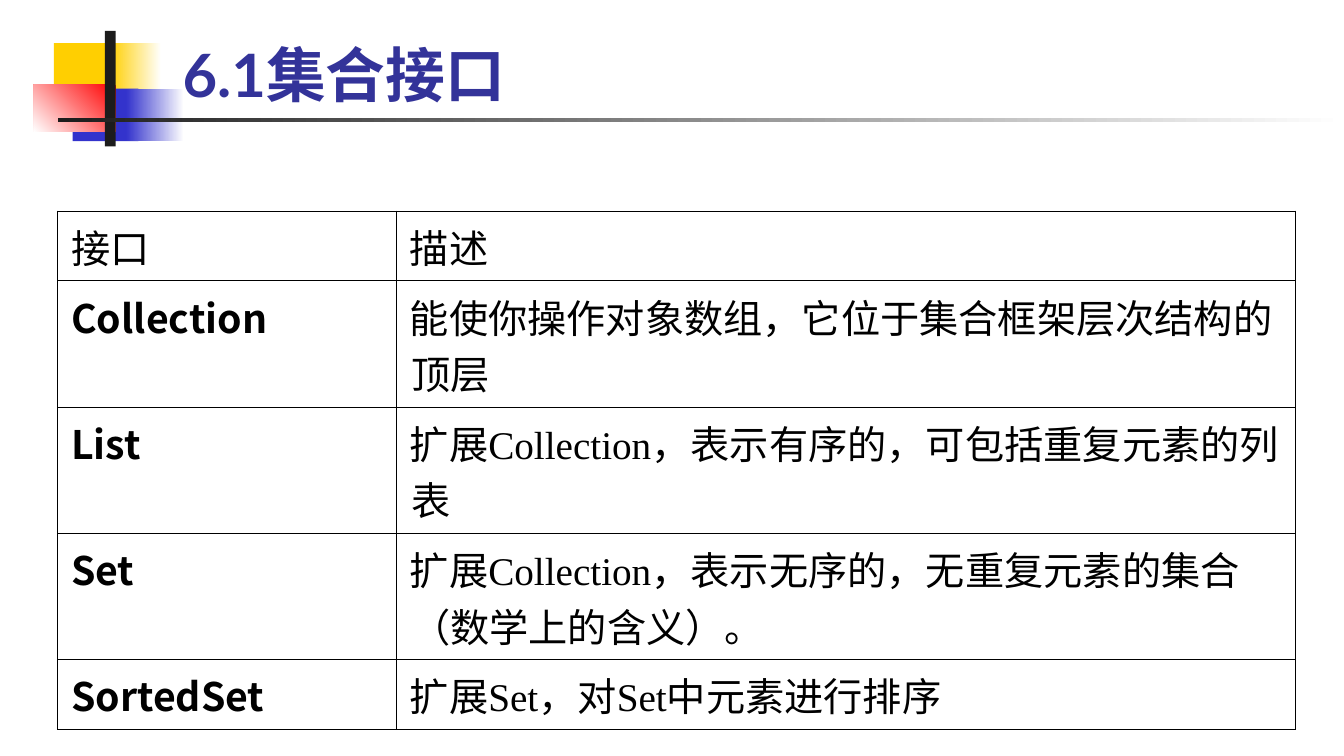
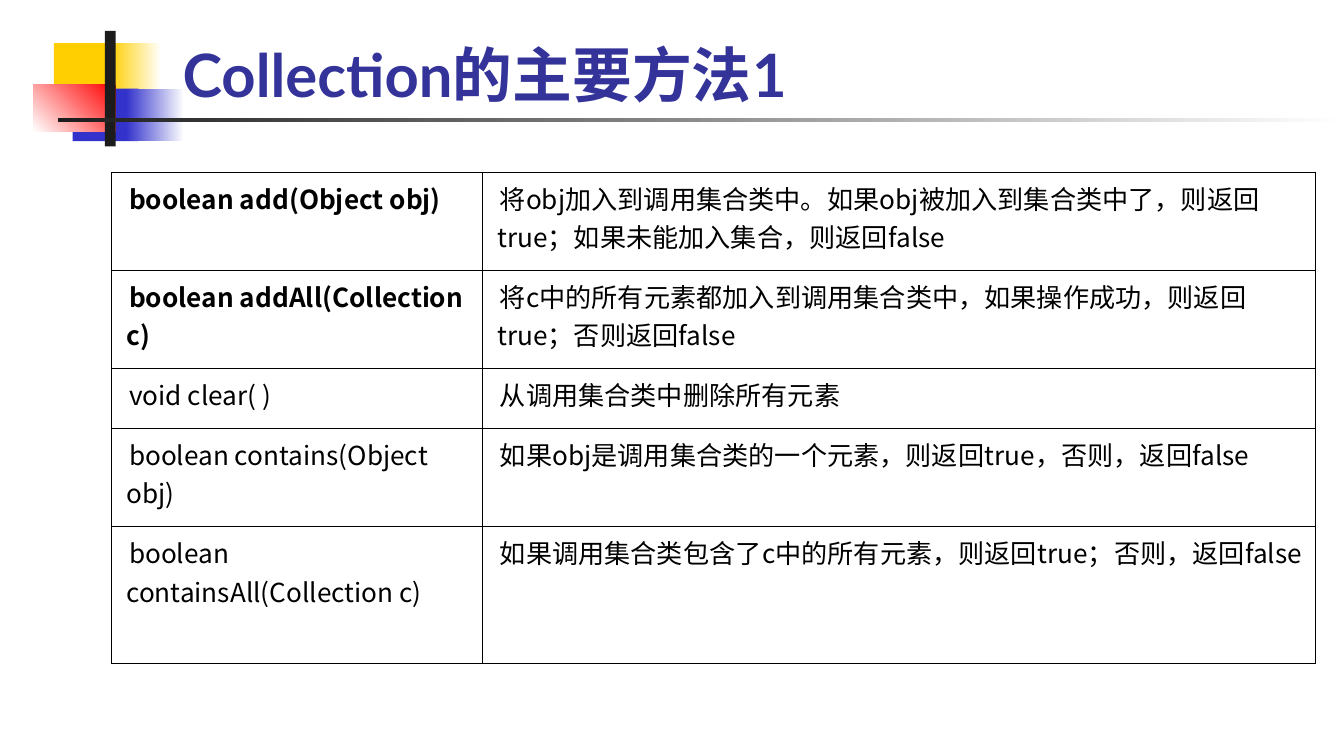
from dataclasses import dataclass

from lxml import etree
from pptx import Presentation
from pptx.dml.color import RGBColor
from pptx.enum.shapes import MSO_SHAPE
from pptx.enum.text import MSO_ANCHOR
from pptx.oxml.ns import qn
from pptx.util import Inches, Pt

RECT = MSO_SHAPE.RECTANGLE
BOTTOM = MSO_ANCHOR.BOTTOM


@dataclass(frozen=True)
class Theme:
    white: str = "FFFFFF"
    black: str = "000000"
    dark: str = "1C1C1C"
    gold: str = "FFCF01"
    blue: str = "3333CC"
    red: str = "FF0000"
    navy: str = "333399"
    head: str = "Lato"
    sans: str = "Noto Sans CJK SC"
    serif: str = "Times New Roman"
    title: int = 32
    large: int = 21
    small: int = 14
    rule: float = 0.45


T = Theme()

DECOR = [
    ((0.4, 0.32, 0.51, 0.39), (T.gold,), 0),
    ((0.82, 0.32, 0.38, 0.39), (T.white, T.gold), 180),
    ((0.54, 0.66, 0.49, 0.39), (T.blue,), 0),
    ((0.94, 0.66, 0.43, 0.39), (T.white, T.blue), 180),
    ((0.25, 0.63, 0.61, 0.35), (T.red, T.white), 225),
    ((0.78, 0.23, 0.08, 0.86), (T.dark,), 0),
    ((0.43, 0.88, 9.57, 0.03), (T.white, T.dark), 180),
]

TYPES = [
    ("接口", "描述"),
    ("Collection", "能使你操作对象数组，它位于集合框架层次结构的顶层"),
    ("List", "扩展Collection，表示有序的，可包括重复元素的列表"),
    ("Set", "扩展Collection，表示无序的，无重复元素的集合（数学上的含义）。"),
    ("SortedSet", "扩展Set，对Set中元素进行排序"),
]

METHODS = [
    ("boolean add(Object obj)",
     "将obj加入到调用集合类中。如果obj被加入到集合类中了，则返回true；如果未能加入集合，则返回false"),
    ("boolean addAll(Collection c)",
     "将c中的所有元素都加入到调用集合类中，如果操作成功，则返回true；否则返回false"),
    ("void clear( )", "从调用集合类中删除所有元素"),
    ("boolean contains(Object obj)",
     "如果obj是调用集合类的一个元素，则返回true，否则，返回false"),
    ("boolean containsAll(Collection c)",
     "如果调用集合类包含了c中的所有元素，则返回true；否则，返回false"),
]


def color(code):
    return RGBColor.from_string(code)


def write(frame, text, size, font=T.sans, fill=T.black, bold=False, indent=None):
    para = frame.paragraphs[0]
    if indent:
        left, first = indent
        props = para._p.get_or_add_pPr()
        props.set("marL", str(Inches(left)))
        props.set("indent", str(Inches(first)))
    run = para.add_run()
    run.text = text
    run.font.size = Pt(size)
    run.font.bold = bold
    run.font.color.rgb = color(fill)
    run.font.name = font
    east = etree.SubElement(run._r.get_or_add_rPr(), qn("a:ea"))
    east.set("typeface", T.sans)


def block(slide, place, tones, angle):
    shape = slide.shapes.add_shape(RECT, *map(Inches, place))
    shape.shadow.inherit = False
    shape.line.fill.background()
    if len(tones) == 1:
        shape.fill.solid()
        shape.fill.fore_color.rgb = color(tones[0])
        return
    shape.fill.gradient()
    shape.fill.gradient_angle = angle
    for stop, tone in zip(shape.fill.gradient_stops, tones):
        stop.color.rgb = color(tone)


def start(deck, title):
    slide = deck.slides.add_slide(deck.slide_layouts[6])
    for place, tones, angle in DECOR:
        block(slide, place, tones, angle)
    box = slide.shapes.add_textbox(*map(Inches, (1.26, 0.17, 8.52, 0.69)))
    frame = box.text_frame
    frame.word_wrap = True
    frame.vertical_anchor = BOTTOM
    write(frame, title, T.title, font=T.head, fill=T.navy, bold=True)
    return slide


def border(cell):
    props = cell._tc.get_or_add_tcPr()
    for index, side in enumerate(("lnL", "lnR", "lnT", "lnB")):
        line = etree.Element(qn(f"a:{side}"), w=str(Pt(T.rule)))
        fill = etree.SubElement(line, qn("a:solidFill"))
        etree.SubElement(fill, qn("a:srgbClr"), val=T.black)
        props.insert(index, line)


def grid(slide, spot, widths, heights, rows, style):
    size = (sum(widths), sum(heights))
    table = slide.shapes.add_table(
        len(rows), len(widths), *map(Inches, spot + size)).table
    table.first_row = False
    table.horz_banding = False
    for column, width in zip(table.columns, widths):
        column.width = Inches(width)
    for row, height in zip(table.rows, heights):
        row.height = Inches(height)
    for r, row in enumerate(rows):
        for c, text in enumerate(row):
            cell = table.cell(r, c)
            cell.fill.background()
            border(cell)
            write(cell.text_frame, text, **style(r, c))


def type_style(row, col):
    body = row > 0 and col == 1
    return dict(
        size=T.large,
        font=T.serif if body else T.sans,
        bold=row > 0 and col == 0,
        indent=(0.01, -0.01) if body else (0.38, -0.38),
    )


def method_style(row, col):
    return dict(size=T.small, bold=row < 2 and col == 0, indent=(0.01, 0.02))


def main():
    deck = Presentation()
    deck.slide_width = Inches(10)
    deck.slide_height = deck.slide_width * 9 // 16

    slide = start(deck, "6.1集合接口")
    grid(slide, (0.43, 1.57), (2.52, 6.69), (0.52, 0.94, 0.94, 0.94, 0.52),
         TYPES, type_style)

    slide = start(deck, "Collection的主要方法1")
    grid(slide, (0.83, 1.28), (2.76, 6.2), (0.73, 0.73, 0.45, 0.73, 1.02),
         METHODS, method_style)

    deck.save("out.pptx")


if __name__ == "__main__":
    main()
